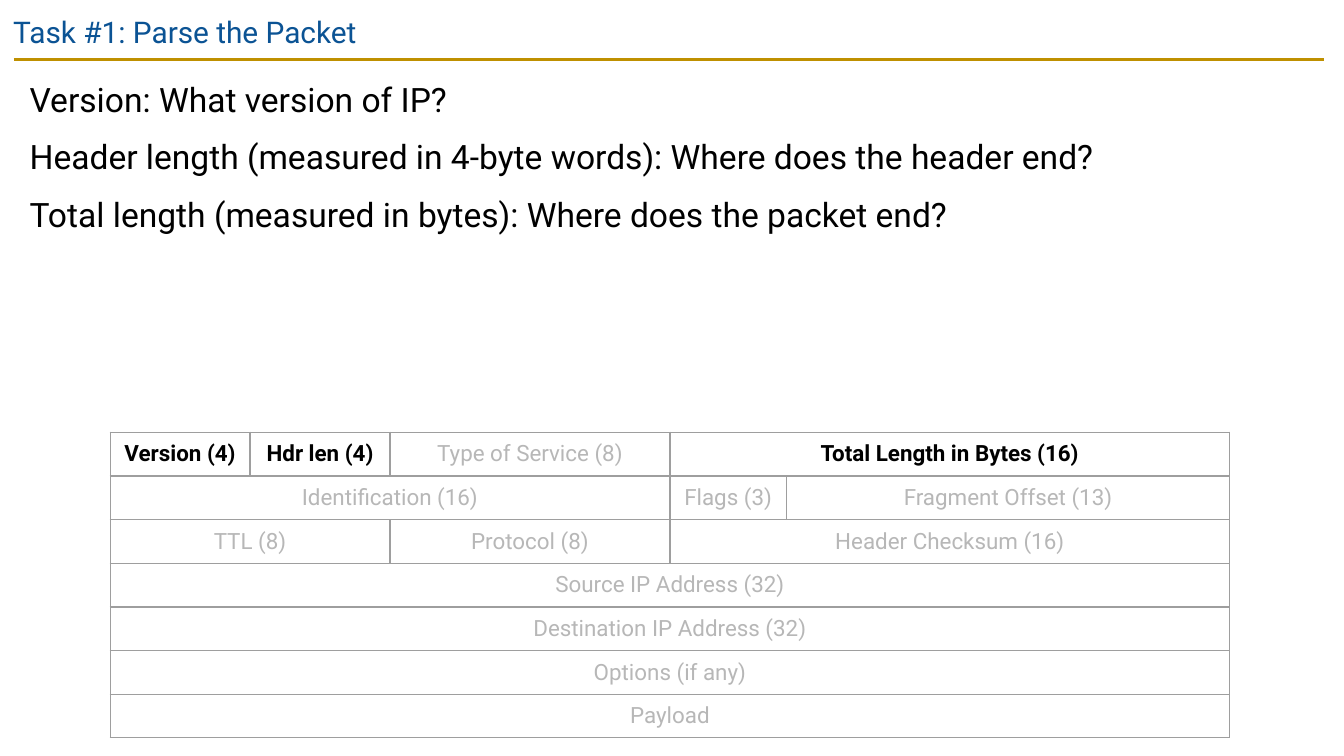
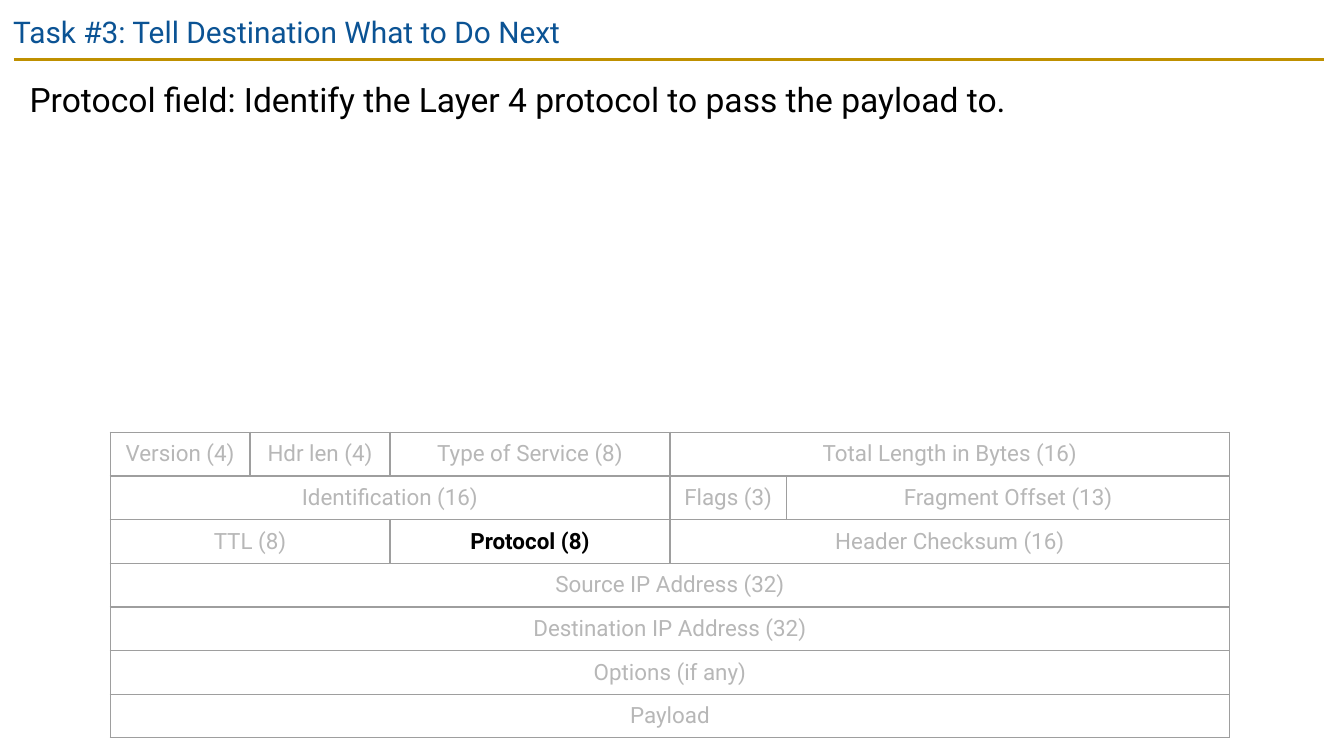
"""Build two slides on IP header fields, each highlighting part of the header table."""
from lxml import etree
from pptx import Presentation
from pptx.dml.color import RGBColor
from pptx.enum.shapes import MSO_CONNECTOR
from pptx.enum.text import MSO_ANCHOR, PP_ALIGN
from pptx.oxml.ns import qn
from pptx.util import Pt

STRAIGHT = MSO_CONNECTOR.STRAIGHT
TOP, MIDDLE = MSO_ANCHOR.TOP, MSO_ANCHOR.MIDDLE
LEFT, CENTER = PP_ALIGN.LEFT, PP_ALIGN.CENTER

SLIDES = [
    {
        "title": "Task #1: Parse the Packet",
        "body": [
            "Version: What version of IP?",
            "Header length (measured in 4-byte words): Where does the header end?",
            "Total length (measured in bytes): Where does the packet end?",
        ],
        "highlights": {"Version (4)", "Hdr len (4)", "Total Length in Bytes (16)"},
    },
    {
        "title": "Task #3: Tell Destination What to Do Next",
        "body": ["Protocol field: Identify the Layer 4 protocol to pass the payload to."],
        "highlights": {"Protocol (8)"},
    },
]

HEADER_ROWS = [
    [("Version (4)", 1), ("Hdr len (4)", 1), ("Type of Service (8)", 2),
     ("Total Length in Bytes (16)", 4)],
    [("Identification (16)", 4), ("Flags (3)", 1), ("Fragment Offset (13)", 3)],
    [("TTL (8)", 2), ("Protocol (8)", 2), ("Header Checksum (16)", 4)],
    [("Source IP Address (32)", 8)],
    [("Destination IP Address (32)", 8)],
    [("Options (if any)", 8)],
    [("Payload", 8)],
]

COLORS = {
    "title": "0B5394",
    "rule": "BF9000",
    "text": "000000",
    "muted": "B7B7B7",
    "border": "9E9E9E",
}
FONT = "Roboto"
SLIDE_SIZE = (720, 405)
TITLE_BOX = (0, 0, 671, 31)
BODY_BOX = (8.8, 31.7, 701, 106.5)
RULE = (7.5, 31.7, 709.5, 31.7)
RULE_WIDTH = 1.5
TABLE_ORIGIN = (59, 231.6)
COLUMN_WIDTHS = [75, 75, 75, 75, 62.4, 87.6, 75, 75]
ROW_HEIGHT = 23.4
BORDER_WIDTH = 0.75
BOX_MARGIN, CELL_MARGIN = 7.2, 2.25

TITLE_FORMAT = {"size": Pt(16), "bold": False}
BODY_FORMAT = {"size": Pt(18), "bold": False}
FIELD_FORMAT = {"size": Pt(12), "bold": False}
HIGHLIGHT_FORMAT = {"size": Pt(12), "bold": True}


def set_attributes(target, values):
    for name, value in values.items():
        setattr(target, name, value)


def margins(amount):
    return {f"margin_{side}": Pt(amount) for side in ("left", "right", "top", "bottom")}


def write(paragraph, text, font_format, color, alignment=LEFT):
    paragraph.alignment = alignment
    run = paragraph.add_run()
    run.text = text
    set_attributes(run.font, {"name": FONT, **font_format})
    run.font.color.rgb = RGBColor.from_string(COLORS[color])


def add_text(slide, box, lines, font_format, color, spacing=None):
    frame = slide.shapes.add_textbox(*map(Pt, box)).text_frame
    set_attributes(frame, {"word_wrap": True, "vertical_anchor": TOP, **margins(BOX_MARGIN)})
    for index, line in enumerate(lines):
        paragraph = frame.add_paragraph() if index else frame.paragraphs[0]
        paragraph.line_spacing = spacing
        if index:
            paragraph.space_before = Pt(6)
        write(paragraph, line, font_format, color)


def add_rule(slide):
    rule = slide.shapes.add_connector(STRAIGHT, *map(Pt, RULE))
    rule.line.color.rgb = RGBColor.from_string(COLORS["rule"])
    rule.line.width = Pt(RULE_WIDTH)
    etree.SubElement(rule.line._get_or_add_ln().getparent(), qn("a:effectLst"))


def style_cell(cell):
    set_attributes(cell, {"vertical_anchor": MIDDLE, **margins(CELL_MARGIN)})
    cell.fill.background()
    properties = cell._tc.get_or_add_tcPr()
    for index, side in enumerate("LRTB"):
        border = etree.Element(qn(f"a:ln{side}"), w=str(Pt(BORDER_WIDTH)))
        fill = etree.SubElement(border, qn("a:solidFill"))
        etree.SubElement(fill, qn("a:srgbClr"), val=COLORS["border"])
        properties.insert(index, border)


def add_header_table(slide, highlights):
    size = (sum(COLUMN_WIDTHS), ROW_HEIGHT * len(HEADER_ROWS))
    table = slide.shapes.add_table(
        len(HEADER_ROWS), len(COLUMN_WIDTHS), *map(Pt, TABLE_ORIGIN + size)
    ).table
    set_attributes(table, {"first_row": False, "horz_banding": False})
    for column, width in zip(table.columns, COLUMN_WIDTHS):
        column.width = Pt(width)
    for row in table.rows:
        row.height = Pt(ROW_HEIGHT)
    for cell in table.iter_cells():
        style_cell(cell)
    for row_index, fields in enumerate(HEADER_ROWS):
        column_index = 0
        for text, span in fields:
            cell = table.cell(row_index, column_index)
            column_index += span
            if span > 1:
                cell.merge(table.cell(row_index, column_index - 1))
            lit = text in highlights
            write(cell.text_frame.paragraphs[0], text,
                  HIGHLIGHT_FORMAT if lit else FIELD_FORMAT,
                  "text" if lit else "muted", CENTER)


def main():
    presentation = Presentation()
    presentation.slide_width, presentation.slide_height = map(Pt, SLIDE_SIZE)
    for content in SLIDES:
        slide = presentation.slides.add_slide(presentation.slide_layouts[6])
        add_rule(slide)
        add_text(slide, TITLE_BOX, [content["title"]], TITLE_FORMAT, "title")
        add_text(slide, BODY_BOX, content["body"], BODY_FORMAT, "text", 1.15)
        add_header_table(slide, content["highlights"])
    presentation.save("out.pptx")


if __name__ == "__main__":
    main()
